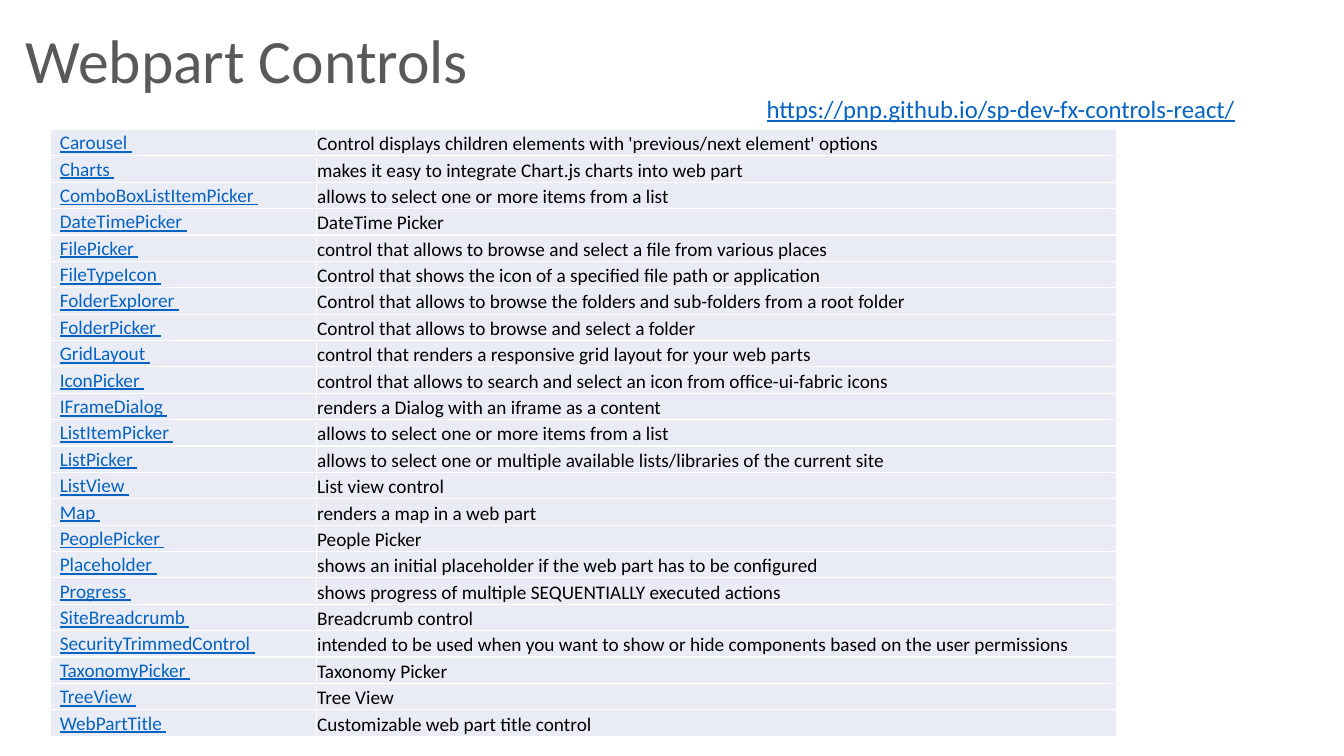
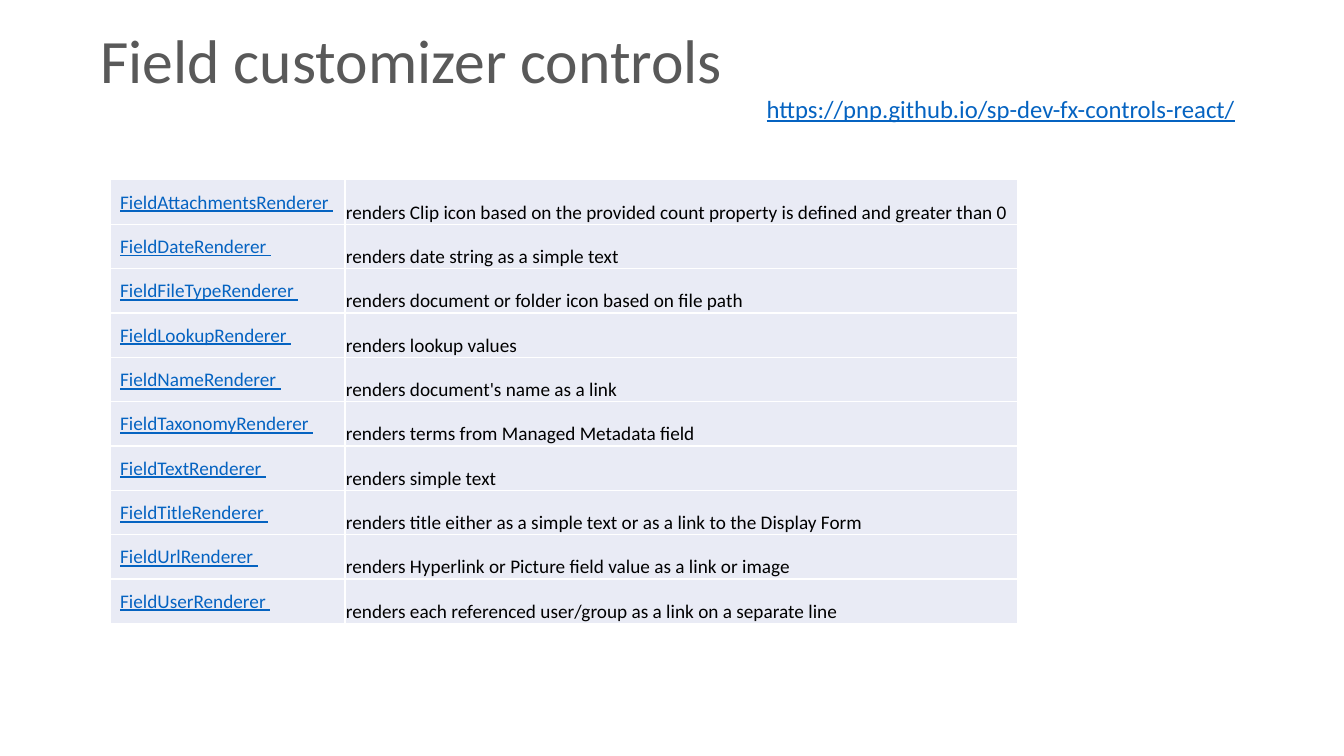
from lxml.etree import SubElement
from pptx import Presentation
from pptx.dml.color import RGBColor
from pptx.enum.text import MSO_ANCHOR
from pptx.oxml.ns import qn
from pptx.util import Inches, Pt

WIDE, HIGH = Inches(13.6), Inches(7.65)
FONT = "Calibri"
GREY, BLUE, BLACK = "595959", "0563C1", "000000"
PALE, WHITE = "E9EBF5", "FFFFFF"
SITE = "https://pnp.github.io/sp-dev-fx-controls-react/"
NBSP = " "
TITLE_END = 86.2

WEB_PARTS = [
    ("Carousel", "Control displays children elements with 'previous/next element' options"),
    ("Charts", "makes it easy to integrate Chart.js charts into web part"),
    ("ComboBoxListItemPicker", "allows to select one or more items from a list"),
    ("DateTimePicker", "DateTime Picker"),
    ("FilePicker", "control that allows to browse and select a file from various places"),
    ("FileTypeIcon", "Control that shows the icon of a specified file path or application"),
    ("FolderExplorer", "Control that allows to browse the folders and sub-folders from a root folder"),
    ("FolderPicker", "Control that allows to browse and select a folder"),
    ("GridLayout", "control that renders a responsive grid layout for your web parts"),
    ("IconPicker", "control that allows to search and select an icon from office-ui-fabric icons"),
    ("IFrameDialog", "renders a Dialog with an iframe as a content"),
    ("ListItemPicker", "allows to select one or more items from a list"),
    ("ListPicker", "allows to select one or multiple available lists/libraries of the current site"),
    ("ListView", "List view control"),
    ("Map", "renders a map in a web part"),
    ("PeoplePicker", "People Picker"),
    ("Placeholder", "shows an initial placeholder if the web part has to be configured"),
    ("Progress", "shows progress of multiple SEQUENTIALLY executed actions"),
    ("SiteBreadcrumb", "Breadcrumb control"),
    ("SecurityTrimmedControl",
     "intended to be used when you want to show or hide components based on the user permissions"),
    ("TaxonomyPicker", "Taxonomy Picker"),
    ("TreeView", "Tree View"),
    ("WebPartTitle", "Customizable web part title control"),
]

FIELDS = [
    ("FieldAttachmentsRenderer",
     "renders Clip icon based on the provided count property is defined and greater than 0"),
    ("FieldDateRenderer", "renders date string as a simple text"),
    ("FieldFileTypeRenderer", "renders document or folder icon based on file path"),
    ("FieldLookupRenderer", "renders lookup values"),
    ("FieldNameRenderer", "renders document's name as a link"),
    ("FieldTaxonomyRenderer", "renders terms from Managed Metadata field"),
    ("FieldTextRenderer", "renders simple text"),
    ("FieldTitleRenderer", "renders title either as a simple text or as a link to the Display Form"),
    ("FieldUrlRenderer", "renders Hyperlink or Picture field value as a link or image"),
    ("FieldUserRenderer", "renders each referenced user/group as a link on a separate line"),
]


def across(share):
    """Percent of the slide's width."""
    return round(WIDE * share / 100)


def down(share):
    """Percent of the slide's height."""
    return round(HIGH * share / 100)


def color(code):
    return RGBColor.from_string(code)


def write(frame, text, size, code, line=False):
    frame.text = text
    para = frame.paragraphs[0]
    para.font.name = FONT
    para.font.size = Pt(size)
    para.font.color.rgb = color(code)
    para.font.underline = line
    return para


def add_box(slide, left, top, width, height):
    box = slide.shapes.add_textbox(across(left), down(top), across(width), down(height))
    return box.text_frame


def add_title(slide, text, left):
    frame = add_box(slide, left, 0, TITLE_END - left, 16.73)
    frame.word_wrap = True
    frame.vertical_anchor = MSO_ANCHOR.MIDDLE
    write(frame, text, 44.9, GREY).line_spacing = 0.9


def add_link(slide):
    frame = add_box(slide, 56.32, 11.76, 36.84, 5.23)
    frame.word_wrap = False
    write(frame, SITE, 18, BLUE, True)


def add_rules(cell):
    """Thin white border on all four sides."""
    props = cell._tc.get_or_add_tcPr()
    for side in "LRTB":
        rule = SubElement(props, qn(f"a:ln{side}"), w=str(Pt(1)))
        fill = SubElement(rule, qn("a:solidFill"))
        SubElement(fill, qn("a:srgbClr"), val=WHITE)


def fill_cell(cell, text, code, anchor, inset, line):
    add_rules(cell)
    cell.fill.solid()
    cell.fill.fore_color.rgb = color(PALE)
    cell.vertical_anchor = anchor
    cell.margin_left = across(inset)
    cell.margin_right = across(0.07)
    cell.margin_top = down(0.13)
    cell.margin_bottom = 0
    write(cell.text_frame, text, 14, code, line)


def add_list(slide, items, left, top, widths, pitch):
    """Table of control names and what they do."""
    frame = slide.shapes.add_table(
        len(items), len(widths), across(left), down(top),
        across(sum(widths)), down(pitch * len(items)))
    table = frame.table
    table.first_row = table.horz_banding = False
    for col, width in zip(table.columns, widths):
        col.width = across(width)
    for row, (name, use) in zip(table.rows, items):
        row.height = down(pitch)
        fill_cell(row.cells[0], name + NBSP, BLUE, MSO_ANCHOR.MIDDLE, 0.7, True)
        fill_cell(row.cells[1], use, BLACK, MSO_ANCHOR.BOTTOM, 0.07, False)


def add_page(deck, title, start, items, left, top, widths, pitch):
    slide = deck.slides.add_slide(deck.slide_layouts[6])
    add_title(slide, title, start)
    add_link(slide)
    add_list(slide, items, left, top, widths, pitch)


def main():
    deck = Presentation()
    deck.slide_width, deck.slide_height = WIDE, HIGH
    add_page(deck, "Webpart Controls", 1.18, WEB_PARTS,
             3.75, 17.12, (19.78, 59.56), 3.49)
    add_page(deck, "Field customizer controls", 6.76, FIELDS,
             8.24, 23.79, (17.43, 50.07), 5.87)
    deck.save("out.pptx")


if __name__ == "__main__":
    main()
